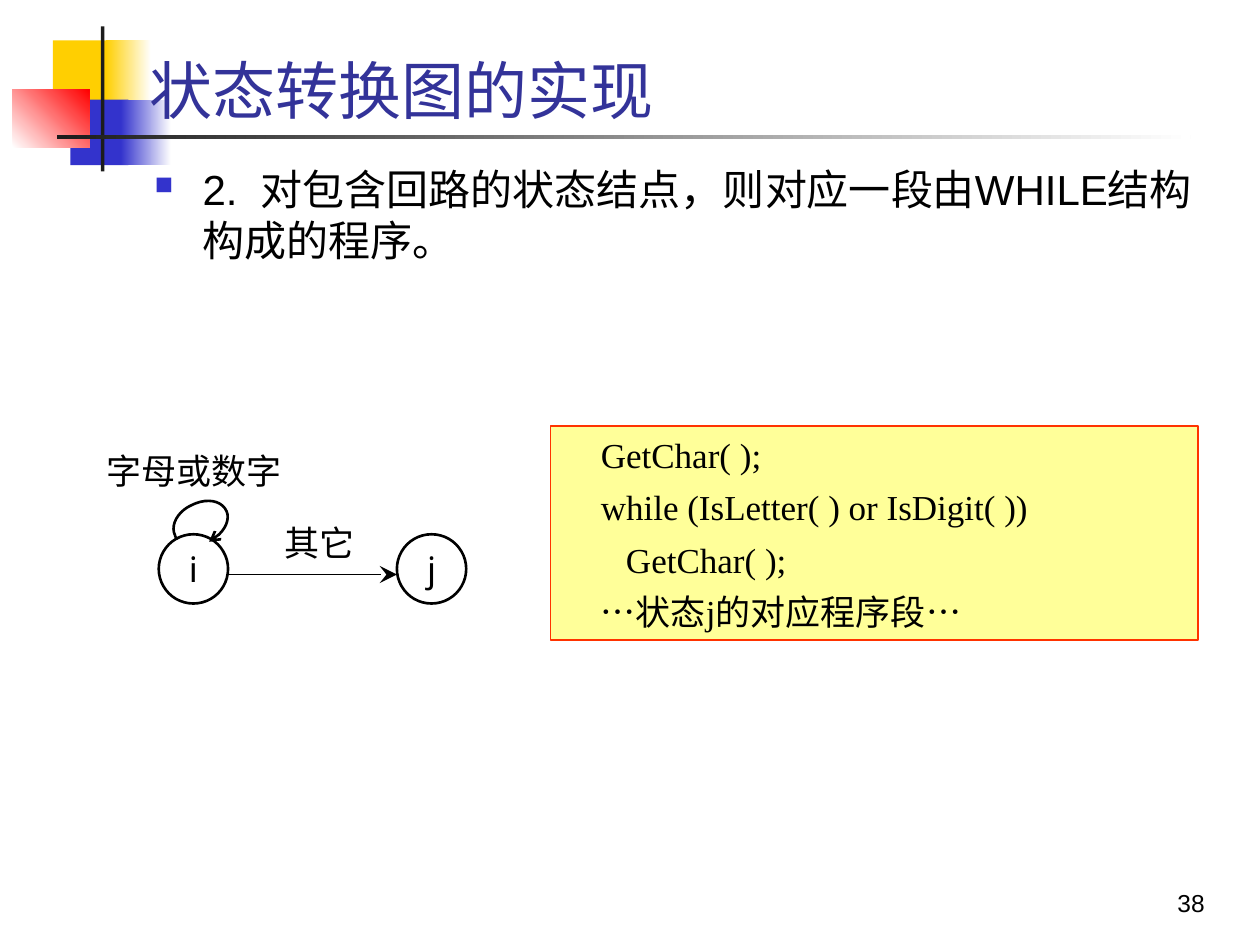
from lxml.etree import SubElement
from pptx import Presentation
from pptx.dml.color import RGBColor
from pptx.enum.shapes import MSO_CONNECTOR, MSO_SHAPE
from pptx.enum.text import MSO_ANCHOR, PP_ALIGN
from pptx.oxml.ns import qn
from pptx.util import Inches, Pt

THEME = {
    "yellow": "FFCF01", "blue": "3333CC", "red": "FF0000", "dark": "1C1C1C",
    "white": "FFFFFF", "title": "333399", "text": "000000",
    "code_fill": "FFFF99", "code_line": "FF3300",
    "title_size": 36, "body_size": 24, "label_size": 20, "number_size": 14,
    "sans": "Arial", "serif": "Times New Roman",
    "state": "Noto Sans", "chinese": "Noto Sans CJK SC",
}


def color(name):
    return RGBColor.from_string(THEME[name])


def write_text(shape, text, size="label_size", font="chinese", ink="text",
               align=PP_ALIGN.LEFT, anchor=MSO_ANCHOR.TOP, wrap=True,
               before=0, margin=0, indent=0, bullet=None, tab=None):
    frame = shape.text_frame
    frame.word_wrap = wrap
    frame.vertical_anchor = anchor
    for index, line in enumerate(text.split("\n")):
        paragraph = frame.add_paragraph() if index else frame.paragraphs[0]
        paragraph.alignment = align
        paragraph.space_before = Pt(before)
        properties = paragraph._p.get_or_add_pPr()
        properties.set("marL", str(Inches(margin)))
        properties.set("indent", str(Inches(indent)))
        if bullet:
            bullet_color = SubElement(properties, qn("a:buClr"))
            SubElement(bullet_color, qn("a:srgbClr"), val=THEME["blue"])
            SubElement(properties, qn("a:buSzPct"), val="60000")
            SubElement(properties, qn("a:buChar"), char=bullet)
        if tab:
            tab_list = SubElement(properties, qn("a:tabLst"))
            SubElement(tab_list, qn("a:tab"), pos=str(Inches(tab)), algn="l")
        run = paragraph.add_run()
        run.text = line
        run.font.size = Pt(THEME[size])
        run.font.name = THEME[font]
        run.font.color.rgb = color(ink)
        if font == "chinese":
            SubElement(run._r.get_or_add_rPr(), qn("a:ea"), typeface=THEME[font])


presentation = Presentation()
presentation.slide_width = Inches(10)
presentation.slide_height = Inches(7.5)
slide = presentation.slides.add_slide(presentation.slide_layouts[6])
shapes = slide.shapes

decorations = [
    ((0.42, 0.32, 0.48, 0.52), ["yellow"], 0),
    ((0.84, 0.32, 0.36, 0.52), ["yellow", "white"], 0),
    ((0.56, 0.79, 0.46, 0.52), ["blue"], 0),
    ((0.96, 0.79, 0.4, 0.52), ["blue", "white"], 0),
    ((0.1, 0.71, 0.61, 0.46), ["white", "red"], 45),
    ((0.8, 0.21, 0.03, 1.15), ["dark"], 0),
    ((0.45, 1.07, 9, 0.03), ["dark", "white"], 0),
]
for box, colors, angle in decorations:
    block = shapes.add_shape(MSO_SHAPE.RECTANGLE, *map(Inches, box))
    block.shadow.inherit = False
    block.line.fill.background()
    if len(colors) == 1:
        block.fill.solid()
        block.fill.fore_color.rgb = color(colors[0])
    else:
        block.fill.gradient()
        block.fill.gradient_angle = angle
        for position, (stop, name) in enumerate(zip(block.fill.gradient_stops, colors)):
            stop.color.rgb = color(name)
            stop.position = position

text_boxes = [
    ((1.09, 0.22, 8.52, 0.84), "状态转换图的实现",
     dict(size="title_size", ink="title", anchor=MSO_ANCHOR.BOTTOM)),
    ((1.13, 1.25, 8.5, 5.49), "2.  对包含回路的状态结点，则对应一段由WHILE结构构成的程序。",
     dict(size="body_size", font="sans", before=12, margin=0.38, indent=-0.38, bullet="■")),
    ((7.58, 6.83, 2.08, 0.5), "38",
     dict(size="number_size", font="sans", align=PP_ALIGN.RIGHT, anchor=MSO_ANCHOR.BOTTOM)),
    ((0.7, 3.52, 1.68, 0.44), "字母或数字", dict(align=PP_ALIGN.CENTER)),
    ((2.16, 4.09, 0.76, 0.44), "其它", dict(wrap=False)),
]
for box, text, text_format in text_boxes:
    write_text(shapes.add_textbox(*map(Inches, box)), text, **text_format)

code_box = shapes.add_shape(MSO_SHAPE.RECTANGLE, Inches(4.37), Inches(3.38), Inches(5.14), Inches(1.7))
code_box.shadow.inherit = False
code_box.fill.solid()
code_box.fill.fore_color.rgb = color("code_fill")
code_box.line.color.rgb = color("code_line")
code_box.line.width = Pt(1)
code = "GetChar( );\nwhile (IsLetter( ) or IsDigit( ))\n\tGetChar( );\n…状态j的对应程序段…"
write_text(code_box, code, font="serif", anchor=MSO_ANCHOR.MIDDLE, before=6, indent=0.3, tab=1)

for name, left in (("i", 1.26), ("j", 3.15)):
    state = shapes.add_shape(MSO_SHAPE.OVAL, Inches(left), Inches(4.24), Inches(0.55), Inches(0.55))
    state.shadow.inherit = False
    state.fill.background()
    state.line.color.rgb = color("text")
    state.line.width = Pt(1.5)
    write_text(state, name, font="state", align=PP_ALIGN.CENTER,
               anchor=MSO_ANCHOR.MIDDLE, wrap=False)

transition = shapes.add_connector(MSO_CONNECTOR.STRAIGHT, Inches(1.81), Inches(4.56),
                                  Inches(3.15), Inches(4.56))

curves = [
    ((1.41, 4.28), (1.4, 4.27), (1.39, 4.26), (1.39, 4.25)),
    ((1.39, 4.25), (1.35, 4.17), (1.41, 4.06), (1.52, 4.01)),
    ((1.52, 4.01), (1.64, 3.95), (1.76, 3.97), (1.8, 4.06)),
    ((1.8, 4.06), (1.83, 4.14), (1.77, 4.24), (1.66, 4.3)),
]
steps = 10
loop_points = []
for curve in curves:
    for step in range(1, steps + 1):
        t = step / steps
        weights = ((1 - t) ** 3, 3 * t * (1 - t) ** 2, 3 * t ** 2 * (1 - t), t ** 3)
        loop_points.append(tuple(
            Inches(sum(weight * point[axis] for weight, point in zip(weights, curve)))
            for axis in (0, 1)))
builder = shapes.build_freeform(*map(Inches, curves[0][0]))
builder.add_line_segments(loop_points, close=False)
loop = builder.convert_to_shape()
loop.shadow.inherit = False
loop.fill.background()

for arrow, width, head, size in ((transition, 1, "stealth", "lg"), (loop, 1.5, "arrow", "med")):
    arrow.line.color.rgb = color("text")
    arrow.line.width = Pt(width)
    SubElement(arrow.line._get_or_add_ln(), qn("a:tailEnd"), type=head, w=size, len=size)
SubElement(transition._element.spPr, qn("a:effectLst"))

presentation.save("out.pptx")
